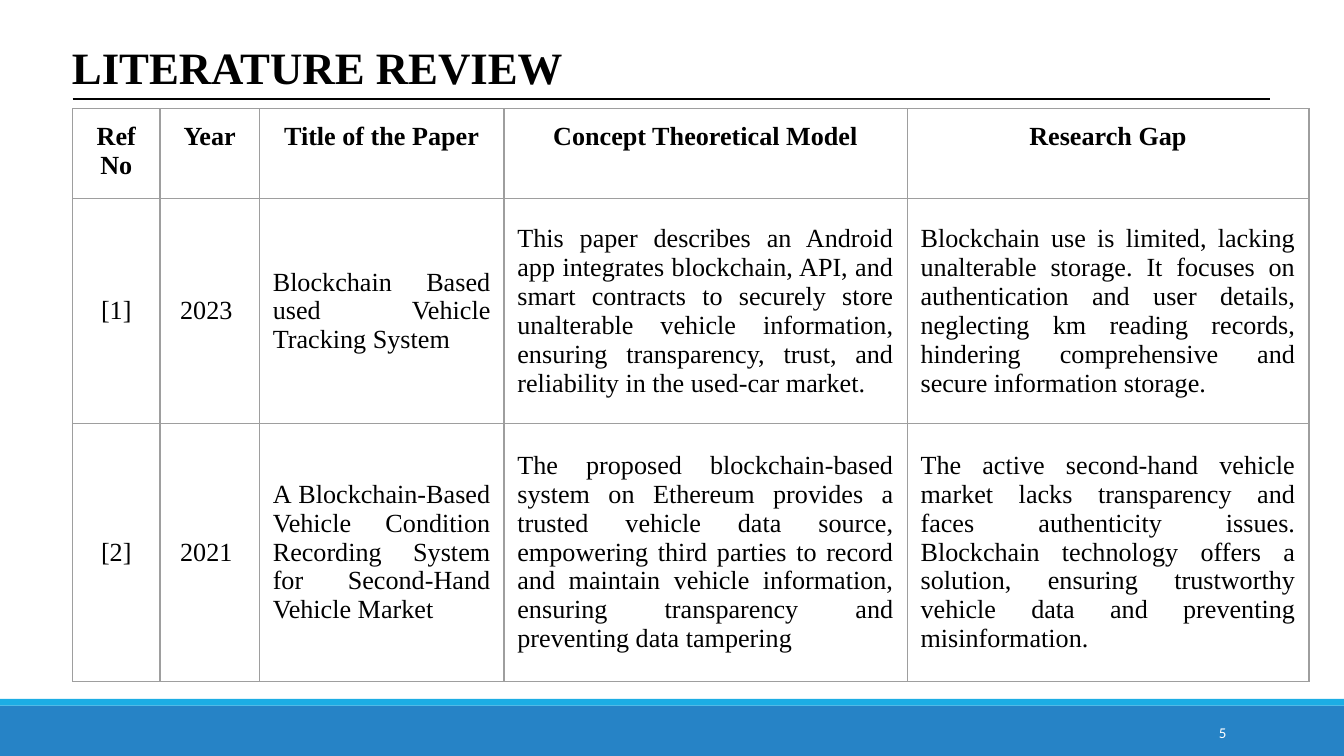
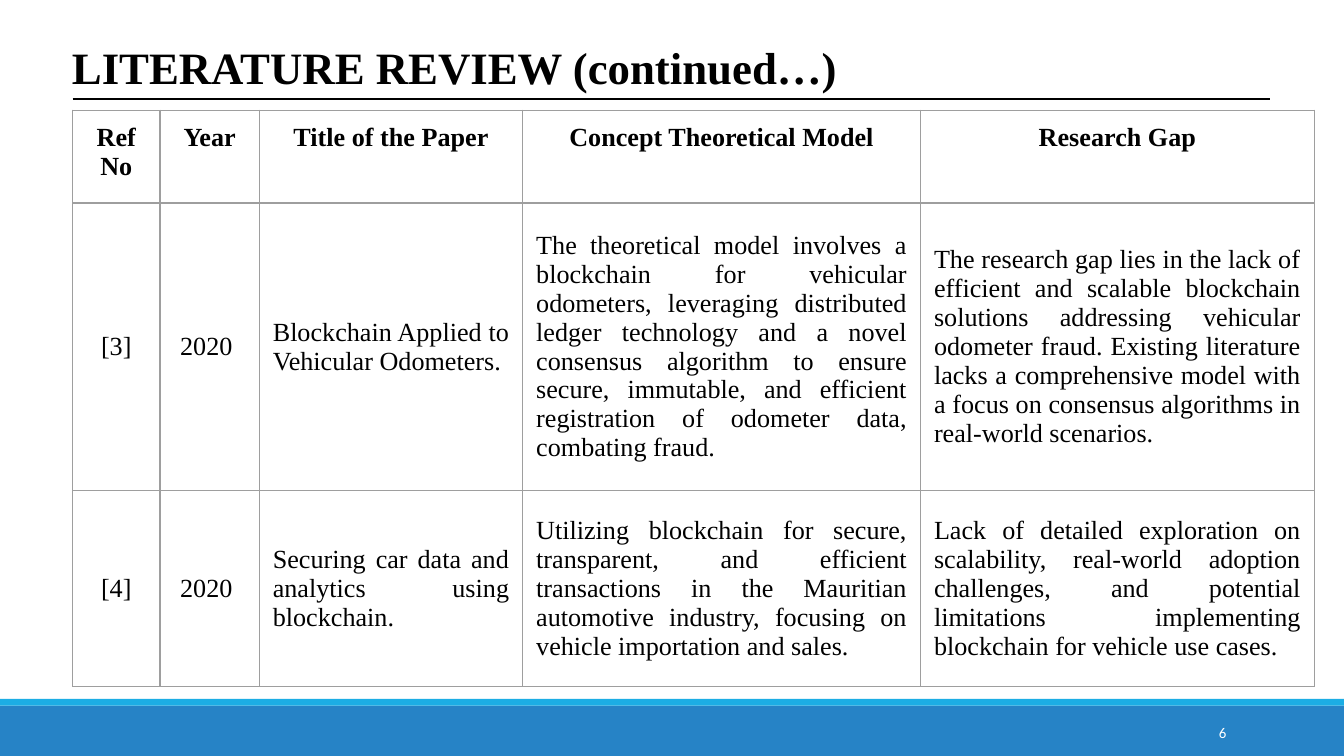
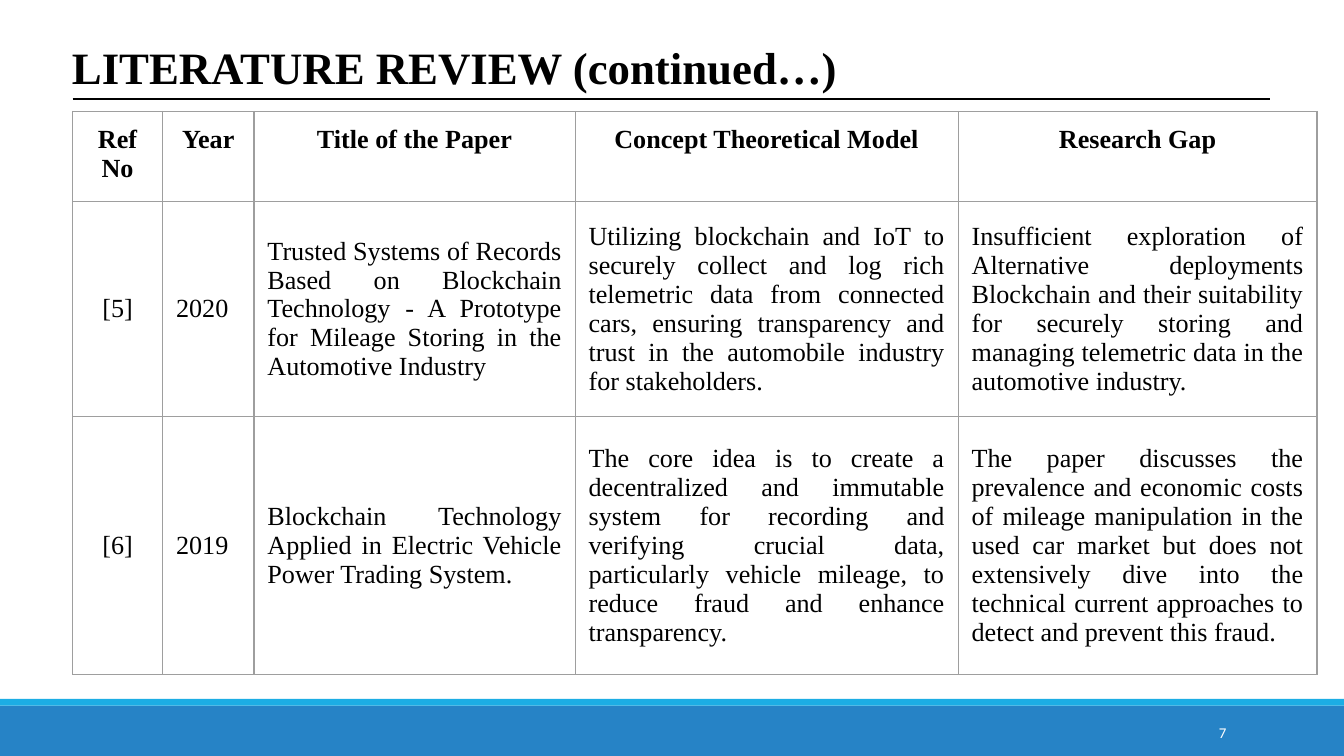
from dataclasses import dataclass

from lxml.etree import SubElement
from pptx import Presentation
from pptx.dml.color import RGBColor as Color
from pptx.enum.shapes import MSO_CONNECTOR as Connector, MSO_SHAPE as Preset
from pptx.enum.text import MSO_ANCHOR as Anchor, MSO_AUTO_SIZE as AutoSize, PP_ALIGN as Align
from pptx.oxml.ns import qn
from pptx.util import Inches, Pt

GRID_COLUMNS = 100
GRID_ROWS = 56.25


@dataclass(frozen=True)
class Theme:
    ink: str = "000000"
    paper: str = "FFFFFF"
    band: str = "2683C6"
    strip: str = "1CADE4"
    border: str = "9E9E9E"
    serif: str = "Times New Roman"
    sans: str = "Calibri"
    title_size: float = 24
    table_size: float = 14
    number_size: float = 8
    rule_width: float = 1
    border_width: float = 0.75


def apply(target, formats):
    for name, value in formats.items():
        setattr(target, name, value)


class Deck:
    def __init__(self, theme):
        self.theme = theme
        self.presentation = Presentation()
        width = Inches(10)
        apply(self.presentation, {"slide_width": width, "slide_height": width * 9 // 16})
        self.slide = None

    def across(self, columns):
        return round(self.presentation.slide_width * columns / GRID_COLUMNS)

    def down(self, rows):
        return round(self.presentation.slide_height * rows / GRID_ROWS)

    def place(self, left, top, width, height):
        return self.across(left), self.down(top), self.across(width), self.down(height)

    def margins(self, side, end):
        return {
            "margin_left": self.across(side),
            "margin_right": self.across(side),
            "margin_top": self.down(end),
            "margin_bottom": self.down(end),
        }

    def fill_text(self, frame, text, align, size, font, color, bold=False):
        paragraph = frame.paragraphs[0]
        paragraph.alignment = align
        run = paragraph.add_run()
        run.text = text
        apply(run.font, {"size": Pt(size), "name": font, "bold": bold})
        run.font.color.rgb = Color.from_string(color)

    def band(self, top, height, color):
        shape = self.slide.shapes.add_shape(
            Preset.RECTANGLE, *self.place(0, top, GRID_COLUMNS, height)
        )
        shape.shadow.inherit = False
        shape.fill.solid()
        shape.fill.fore_color.rgb = Color.from_string(color)
        shape.line.fill.background()

    def text(self, area, text, align, anchor, fit, **style):
        frame = self.slide.shapes.add_textbox(*self.place(*area)).text_frame
        apply(frame, {
            "word_wrap": True,
            "auto_size": fit,
            "vertical_anchor": anchor,
            **self.margins(0.75, 0.38),
        })
        self.fill_text(frame, text, align, **style)

    def rule(self, left, right, row):
        connector = self.slide.shapes.add_connector(
            Connector.STRAIGHT,
            self.across(left), self.down(row), self.across(right), self.down(row),
        )
        connector.line.color.rgb = Color.from_string(self.theme.ink)
        connector.line.width = Pt(self.theme.rule_width)
        SubElement(connector._element.spPr, qn("a:effectLst"))

    def outline(self, cell):
        properties = cell._tc.get_or_add_tcPr()
        for index, side in enumerate(("lnL", "lnR", "lnT", "lnB")):
            line = SubElement(properties, qn(f"a:{side}"), w=str(Pt(self.theme.border_width)))
            fill = SubElement(line, qn("a:solidFill"))
            SubElement(fill, qn("a:srgbClr"), val=self.theme.border)
            properties.insert(index, line)

    def cell(self, cell, text, align, heading, indent):
        cell.fill.background()
        self.outline(cell)
        apply(cell, {
            **self.margins(1, 1),
            "margin_left": self.across(1 + indent),
            "vertical_anchor": Anchor.TOP if heading else Anchor.MIDDLE,
        })
        self.fill_text(
            cell.text_frame, text, Align.CENTER if heading else align,
            self.theme.table_size, self.theme.serif, self.theme.ink, heading,
        )

    def table(self, left, top, widths, heights, records, aligns, year_indent):
        area = self.place(left, top, sum(widths), sum(heights))
        table = self.slide.shapes.add_table(len(heights), len(widths), *area).table
        apply(table, {"first_row": False, "horz_banding": False})
        for column, width in zip(table.columns, widths):
            column.width = self.across(width)
        for row, height in zip(table.rows, heights):
            row.height = self.down(height)
        for row, record in enumerate(records):
            for column, text in enumerate(record):
                indent = year_indent if row and column == 1 else 0
                self.cell(table.cell(row, column), text, aligns[column], row == 0, indent)

    def start(self, title, number):
        theme = self.theme
        self.slide = self.presentation.slides.add_slide(self.presentation.slide_layouts[6])
        self.band(52.5, 3.75, theme.band)
        self.band(52, 0.5, theme.strip)
        self.text(
            (4.6, 2.6, 63.9, 7.2), title, Align.LEFT, Anchor.TOP, AutoSize.SHAPE_TO_FIT_TEXT,
            size=theme.title_size, font=theme.serif, color=theme.ink, bold=True,
        )
        self.rule(5.4, 94.5, 7.4)
        self.text(
            (81.2, 53, 10.8, 3), str(number), Align.RIGHT, Anchor.MIDDLE, AutoSize.NONE,
            size=theme.number_size, font=theme.sans, color=theme.paper,
        )


HEADINGS = ("Ref No", "Year", "Title of the Paper", "Concept Theoretical Model", "Research Gap")
ALIGNS = (Align.CENTER, Align.LEFT, Align.JUSTIFY, Align.JUSTIFY, Align.JUSTIFY)
FIRST_NUMBER = 5

REVIEWS = [
    {
        "title": "LITERATURE REVIEW",
        "top": 8.1,
        "widths": (6.5, 7.4, 18.2, 30, 29.9),
        "heights": (6.7, 16.7, 19.2),
        "year_indent": 0.5,
        "papers": [
            (
                "[1]", "2023",
                "Blockchain Based used Vehicle Tracking System",
                "This paper describes an Android app integrates blockchain, API, and smart "
                "contracts to securely store unalterable vehicle information, ensuring "
                "transparency, trust, and reliability in the used-car market.",
                "Blockchain use is limited, lacking unalterable storage. It focuses on "
                "authentication and user details, neglecting km reading records, hindering "
                "comprehensive and secure information storage.",
            ),
            (
                "[2]", "2021",
                "A Blockchain-Based Vehicle Condition Recording System for Second-Hand "
                "Vehicle Market",
                "The proposed blockchain-based system on Ethereum provides a trusted vehicle "
                "data source, empowering third parties to record and maintain vehicle "
                "information, ensuring transparency and preventing data tampering",
                "The active second-hand vehicle market lacks transparency and faces "
                "authenticity issues. Blockchain technology offers a solution, ensuring "
                "trustworthy vehicle data and preventing misinformation.",
            ),
        ],
    },
    {
        "title": "LITERATURE REVIEW (continued…)",
        "top": 8.2,
        "widths": (6.5, 7.4, 19.6, 29.6, 29.3),
        "heights": (6.9, 21.4, 14.6),
        "year_indent": 0.5,
        "papers": [
            (
                "[3]", "2020",
                "Blockchain Applied to Vehicular Odometers.",
                "The theoretical model involves a blockchain for vehicular odometers, "
                "leveraging distributed ledger technology and a novel consensus algorithm to "
                "ensure secure, immutable, and efficient registration of odometer data, "
                "combating fraud.",
                "The research gap lies in the lack of efficient and scalable blockchain "
                "solutions addressing vehicular odometer fraud. Existing literature lacks a "
                "comprehensive model with a focus on consensus algorithms in real-world "
                "scenarios.",
            ),
            (
                "[4]", "2020",
                "Securing car data and analytics using blockchain.",
                "Utilizing blockchain for secure, transparent, and efficient transactions in "
                "the Mauritian automotive industry, focusing on vehicle importation and sales.",
                "Lack of detailed exploration on scalability, real-world adoption challenges, "
                "and potential limitations implementing blockchain for vehicle use cases.",
            ),
        ],
    },
    {
        "title": "LITERATURE REVIEW (continued…)",
        "top": 8.3,
        "widths": (6.7, 6.8, 23.9, 28.5, 26.7),
        "heights": (6.7, 16, 19.2),
        "year_indent": 0,
        "papers": [
            (
                "[5]", "2020",
                "Trusted Systems of Records Based on Blockchain Technology - A Prototype for "
                "Mileage Storing in the Automotive Industry",
                "Utilizing blockchain and IoT to securely collect and log rich telemetric data "
                "from connected cars, ensuring transparency and trust in the automobile "
                "industry for stakeholders.",
                "Insufficient exploration of Alternative deployments Blockchain and their "
                "suitability for securely storing and managing telemetric data in the "
                "automotive industry.",
            ),
            (
                "[6]", "2019",
                "Blockchain Technology Applied in Electric Vehicle Power Trading System.",
                "The core idea is to create a decentralized and immutable system for recording "
                "and verifying crucial data, particularly vehicle mileage, to reduce fraud and "
                "enhance transparency.",
                "The paper discusses the prevalence and economic costs of mileage manipulation "
                "in the used car market but does not extensively dive into the technical "
                "current approaches to detect and prevent this fraud.",
            ),
        ],
    },
]


def main():
    deck = Deck(Theme())
    for number, review in enumerate(REVIEWS, FIRST_NUMBER):
        deck.start(review["title"], number)
        deck.table(
            5.4, review["top"], review["widths"], review["heights"],
            [HEADINGS, *review["papers"]], ALIGNS, review["year_indent"],
        )
    deck.presentation.save("out.pptx")


if __name__ == "__main__":
    main()
